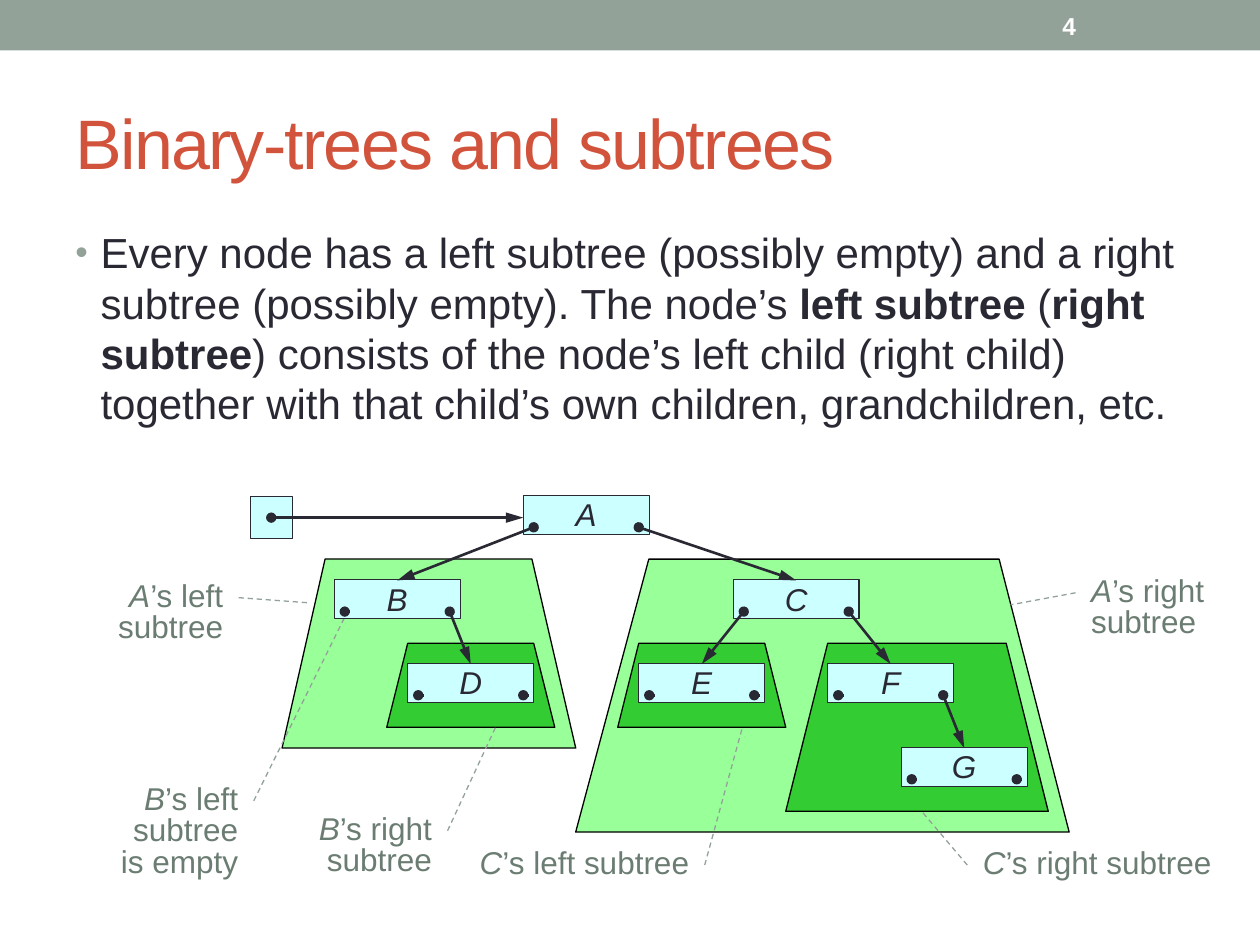
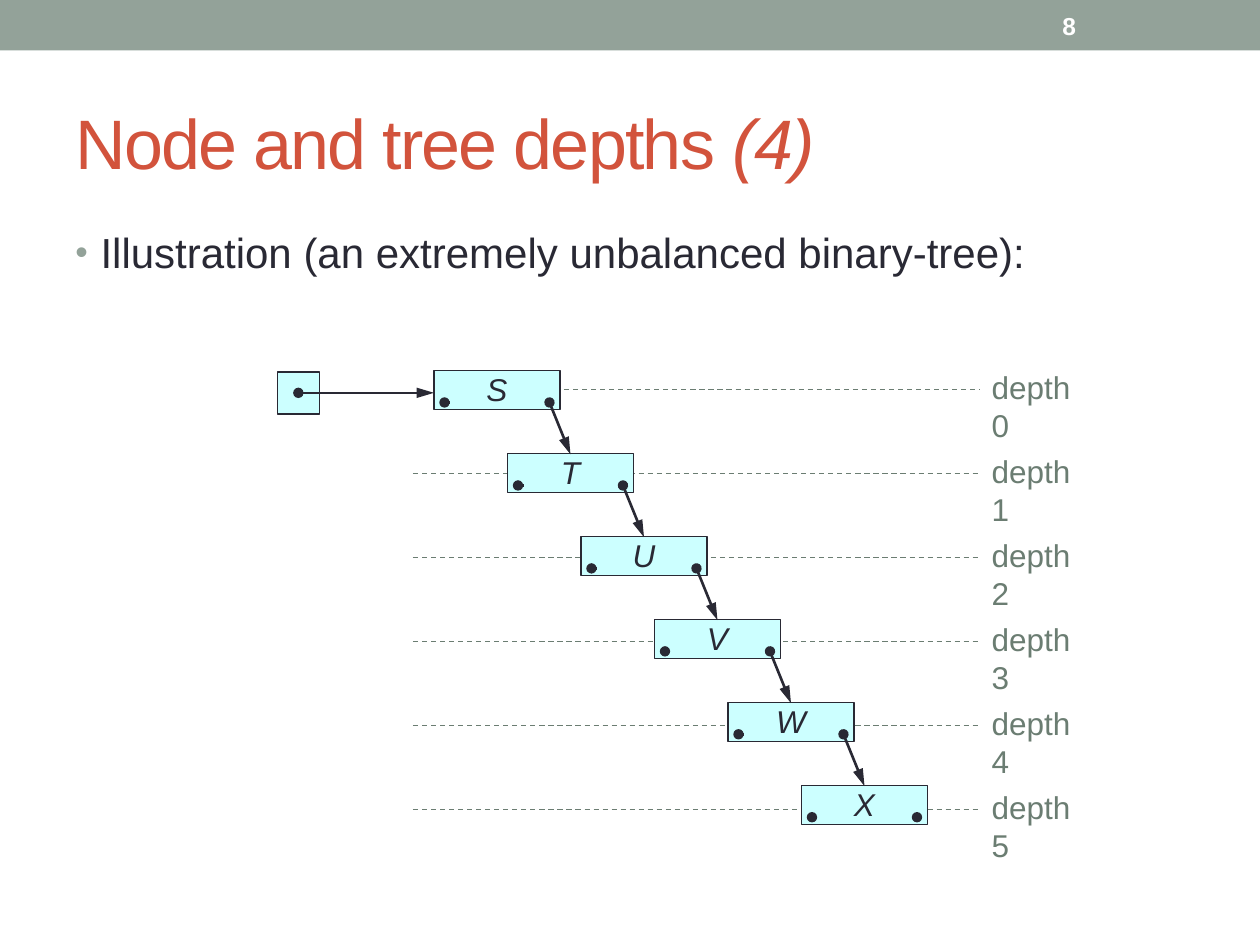
"""Build two slides about binary trees: subtrees and node depths."""
from lxml.etree import SubElement
from pptx import Presentation
from pptx.dml.color import RGBColor
from pptx.enum.dml import MSO_LINE
from pptx.enum.shapes import MSO_CONNECTOR, MSO_SHAPE
from pptx.enum.text import MSO_ANCHOR, PP_ALIGN
from pptx.oxml.ns import qn
from pptx.util import Pt

COLORS = {
    "band": "93A299", "title": "D2533C", "ink": "292934", "label": "6B7D72",
    "node": "CCFFFF", "outer": "99FF99", "inner": "33CC33",
    "black": "000000", "white": "FFFFFF",
}
FONT = "Arial"
NODE_WIDTH, NODE_HEIGHT = 72, 22.3
SLOT_LEFT, SLOT_RIGHT, SLOT_DROP, STUB = 6, 66, 18.3, 2.9
ROOT_SIZE = 24


def rgb(name):
    return RGBColor.from_string(COLORS[name])


def style_line(line, color, width, dashed=False):
    line.color.rgb = rgb(color)
    line.width = Pt(width)
    if dashed:
        line.dash_style = MSO_LINE.DASH


def write(shape, runs, size, color, bold=None, italic=None, align=PP_ALIGN.LEFT,
          anchor=MSO_ANCHOR.TOP, inset=(7.2, 3.6)):
    """Fill a shape with one paragraph of (text, style) runs, style being "", "b" or "i"."""
    frame = shape.text_frame
    frame.word_wrap = True
    frame.vertical_anchor = anchor
    frame.margin_left = frame.margin_right = Pt(inset[0])
    frame.margin_top = frame.margin_bottom = Pt(inset[1])
    paragraph = frame.paragraphs[0]
    paragraph.alignment = align
    font = paragraph.font
    font.name, font.size, font.bold, font.italic = FONT, Pt(size), bold, italic
    font.color.rgb = rgb(color)
    for text, style in runs:
        run = paragraph.add_run()
        run.text = text
        if style == "b":
            run.font.bold = True
        elif style == "i":
            run.font.italic = True
    return paragraph


def add_text(slide, box, runs, size, color, **options):
    shape = slide.shapes.add_textbox(*map(Pt, box))
    return write(shape, runs, size, color, **options)


def add_box(slide, box, fill, line=None, kind=MSO_SHAPE.RECTANGLE):
    shape = slide.shapes.add_shape(kind, *map(Pt, box))
    shape.shadow.inherit = False
    if fill:
        shape.fill.solid()
        shape.fill.fore_color.rgb = rgb(fill)
    else:
        shape.fill.background()
    if line:
        style_line(shape.line, line, 0.75)
    else:
        shape.line.fill.background()
    return shape


def add_line(slide, start, end, color="ink", width=1.5, dashed=False, dot=False, arrow=False):
    """Draw a line that may begin with a dot and end with an arrowhead."""
    points = map(Pt, (*start, *end))
    connector = slide.shapes.add_connector(MSO_CONNECTOR.STRAIGHT, *points)
    style_line(connector.line, color, width, dashed)
    properties = connector._element.spPr
    outline = properties.find(qn("a:ln"))
    if dot:
        SubElement(outline, qn("a:headEnd"), type="oval", w="med", len="med")
    if arrow:
        SubElement(outline, qn("a:tailEnd"), type="triangle", w="med", len="lg")
    SubElement(properties, qn("a:effectLst"))


def add_bullet(paragraph):
    paragraph.space_before = Pt(4.8)
    properties = paragraph._p.get_or_add_pPr()
    properties.set("marL", str(Pt(14.4)))
    properties.set("indent", str(Pt(-14.4)))
    color = SubElement(properties, qn("a:buClr"))
    SubElement(color, qn("a:srgbClr"), val=COLORS["band"])
    SubElement(properties, qn("a:buSzPct"), val="85000")
    SubElement(properties, qn("a:buFont"), typeface=FONT)
    SubElement(properties, qn("a:buChar"), char="•")
    default = properties.find(qn("a:defRPr"))
    properties.append(default)


def start_slide(presentation, number, title, body):
    """Add a slide with the shared band, number, title and bulleted body."""
    slide = presentation.slides.add_slide(presentation.slide_layouts[6])
    add_box(slide, (0, 0, 720, 28.8), "band")
    heading = add_text(slide, (36, 42, 648, 78), title, 40, "title", anchor=MSO_ANCHOR.MIDDLE)
    for run in heading.runs:
        run.font._element.set("spc", "-100")
    add_bullet(add_text(slide, (36, 126, 648, 384), body, 24, "ink"))
    add_text(slide, (600, 1.5, 84, 26), [(str(number), "")], 14, "white",
             bold=True, anchor=MSO_ANCHOR.MIDDLE)
    return slide


def add_region(slide, fill, top, top_left, top_right, bottom, bottom_left, bottom_right):
    """Draw the trapezoid that encloses a subtree."""
    builder = slide.shapes.build_freeform(Pt(top_left), Pt(top))
    corners = [(bottom_left, bottom), (bottom_right, bottom), (top_right, top)]
    builder.add_line_segments([(Pt(x), Pt(y)) for x, y in corners], close=True)
    shape = builder.convert_to_shape()
    shape.shadow.inherit = False
    shape.fill.solid()
    shape.fill.fore_color.rgb = rgb(fill)
    style_line(shape.line, "black", 0.75)


def add_callout(slide, box, node, rest, align, leader):
    """Label a subtree, with a dashed leader given as y, x, y, x fractions of the box."""
    shape = add_box(slide, box, None, "band", MSO_SHAPE.LINE_CALLOUT_1_NO_BORDER)
    shape.line.dash_style = MSO_LINE.DASH
    for index, value in enumerate(leader):
        shape.adjustments[index] = value
    paragraph = write(shape, [(node, "i"), (rest, "")], 18, "label", align=align, inset=(2.9, 0))
    paragraph.line_spacing = Pt(18)


def add_tree(slide, nodes, children, root_left):
    """Draw nodes, their pointer slots and the root pointer to the first node."""
    for label, (left, top) in nodes.items():
        shape = add_box(slide, (left, top, NODE_WIDTH, NODE_HEIGHT), "node", "ink")
        write(shape, [(label, "")], 18, "ink", italic=True, align=PP_ALIGN.CENTER, inset=(0, 0))
    for label, (left, top) in nodes.items():
        slot_y = top + SLOT_DROP
        for offset, child in zip((SLOT_LEFT, SLOT_RIGHT), children.get(label, (None, None))):
            slot = (left + offset, slot_y)
            if child:
                child_left, child_top = nodes[child]
                end = (child_left + NODE_WIDTH / 2, child_top + 0.5)
            else:
                end = (slot[0] + STUB, slot_y)
            add_line(slide, slot, end, dot=True, arrow=bool(child))
    first_left, first_top = next(iter(nodes.values()))
    root_top = first_top + 0.8
    add_box(slide, (root_left, root_top, ROOT_SIZE, ROOT_SIZE), "node", "ink")
    middle = root_top + ROOT_SIZE / 2
    add_line(slide, (root_left + ROOT_SIZE / 2, middle), (first_left, middle),
             dot=True, arrow=True)


def build_subtrees(presentation):
    body = [
        ("Every node has a left subtree (possibly empty) and a right subtree "
         "(possibly empty). The node’s ", ""),
        ("left subtree", "b"), (" (", ""), ("right subtree", "b"),
        (") consists of the node’s left child (right child) together with that "
         "child’s own children, grandchildren, etc.", ""),
    ]
    slide = start_slide(presentation, 4, [("Binary-trees and subtrees", "")], body)
    regions = [
        ("outer", 319.5, 185.8, 304, 427.5, 161.2, 329),
        ("outer", 319.5, 370.8, 571, 475.5, 329, 611),
        ("inner", 367.6, 365, 437, 415.6, 353, 449),
        ("inner", 367.6, 473, 575, 463.6, 449, 599),
        ("inner", 367.6, 233, 305, 415.6, 221, 317),
    ]
    for region in regions:
        add_region(slide, *region)
    left, right = PP_ALIGN.LEFT, PP_ALIGN.RIGHT
    callouts = [
        ((59.8, 332.6, 70.6, 36.7), "A", "’s left subtree", right, (0.244, 1.085, 0.325, 1.658)),
        ((620.6, 329.8, 77, 36.7), "A", "’s right subtree", left, (0.244, -0.078, 0.431, -0.56)),
        ((266.4, 485.3, 130.3, 20), "C", "’s left subtree", right, (0.453, 1.046, -3.522, 1.213)),
        ((558.7, 485.3, 141.8, 20), "C", "’s right subtree", left,
         (0.453, -0.042, -1.101, -0.228)),
        ((172.8, 465.8, 77, 36.7), "B", "’s right subtree", right, (0.244, 1.078, -1.359, 1.432)),
        ((59.8, 448.6, 79.2, 54), "B", "’s left subtree is empty", right,
         (0.167, 1.076, -1.766, 1.729)),
    ]
    for callout in callouts:
        add_callout(slide, *callout)
    nodes = {
        "A": (299, 283), "B": (191, 331.2), "C": (419, 331.2), "D": (233, 379),
        "E": (365, 379), "F": (473, 379), "G": (515, 427),
    }
    children = {"A": ("B", "C"), "B": (None, "D"), "C": ("E", "F"), "F": (None, "G")}
    add_tree(slide, nodes, children, 143)


def build_depths(presentation):
    slide = start_slide(presentation, 8, [("Node and tree depths ", ""), ("(4)", "i")],
                        [("Illustration (an extremely unbalanced binary-tree):", "")])
    labels = "STUVWX"
    for depth in range(len(labels)):
        top = 210.4 + 48 * depth
        start = 236 if depth else 296.5
        add_line(slide, (start, top + 12), (560, top + 12), "label", 0.75, dashed=True)
        add_text(slide, (566.6, top, 60, 21.6), [(f"depth {depth}", "")], 18, "label",
                 inset=(0, 0))
    nodes = {label: (248 + 42 * index, 211.7 + 47.4 * index)
             for index, label in enumerate(labels)}
    children = {parent: (None, child) for parent, child in zip(labels, labels[1:])}
    add_tree(slide, nodes, children, 158.5)


def main():
    presentation = Presentation()
    presentation.slide_width, presentation.slide_height = Pt(720), Pt(540)
    build_subtrees(presentation)
    build_depths(presentation)
    presentation.save("out.pptx")


main()
